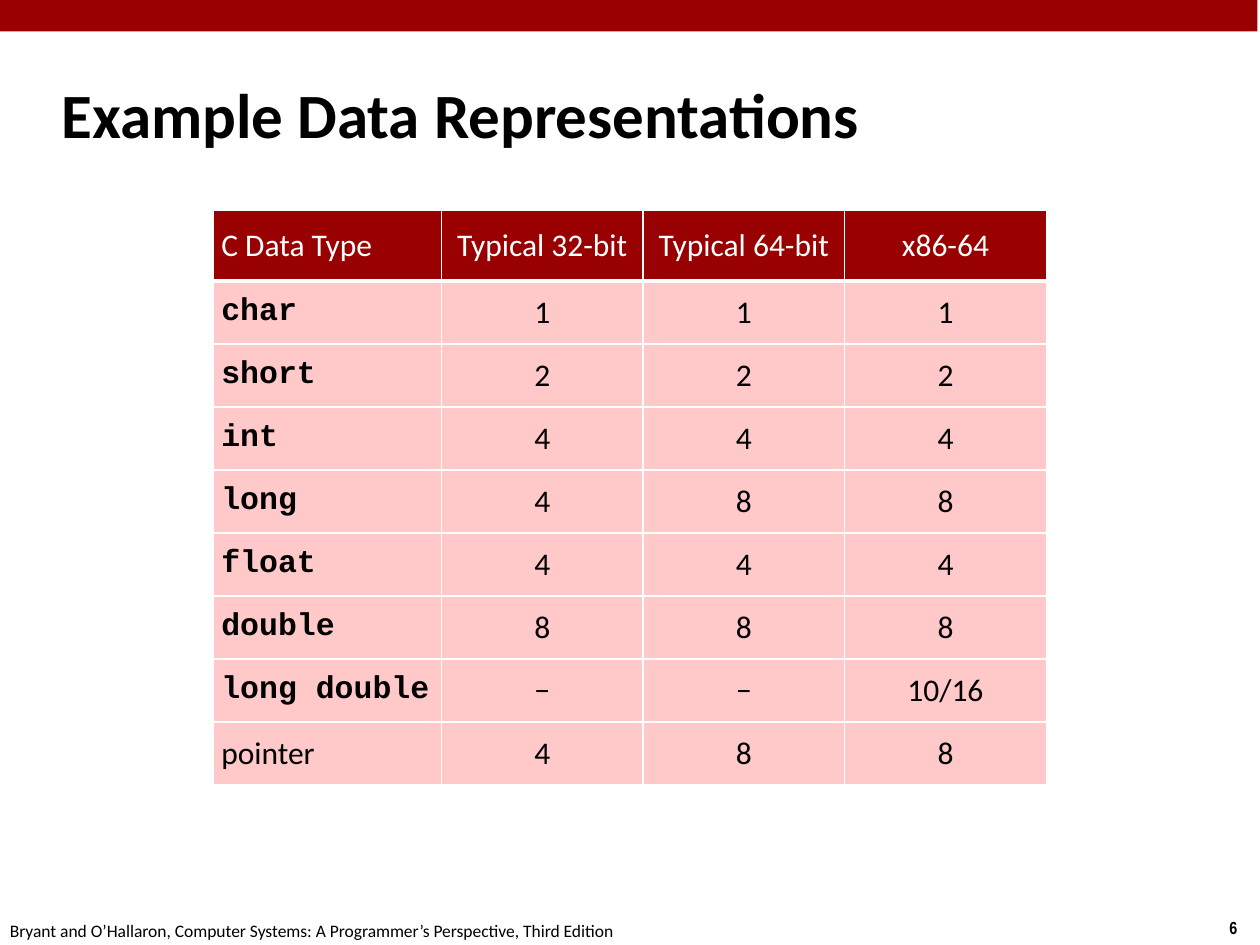
from lxml import etree
from pptx import Presentation
from pptx import util as u
from pptx.dml.color import RGBColor
from pptx.enum import shapes, text
from pptx.oxml import ns

Pt = u.Pt
BLACK = RGBColor(0, 0, 0)
WHITE = RGBColor(255, 255, 255)
BAR_RED = RGBColor(0x99, 0, 0)
HEADER_RED = RGBColor(0x98, 0, 0x02)
PINK = RGBColor(0xFF, 0xC8, 0xC9)


def write(frame, words, color, **formats):
    para = frame.paragraphs[0]
    span = para.add_run()
    span.text = words
    span.font.color.rgb = color
    for name, value in formats.items():
        setattr(span.font, name, value)
    return para


def add_border(cell, side, width):
    line = etree.SubElement(cell._tc.get_or_add_tcPr(), ns.qn(f"a:ln{side}"), w=str(Pt(width)))
    fill = etree.SubElement(line, ns.qn("a:solidFill"))
    etree.SubElement(fill, ns.qn("a:srgbClr"), val=str(WHITE))


deck = Presentation()
deck.slide_width, deck.slide_height = Pt(720), Pt(540)
page = deck.slides.add_slide(deck.slide_layouts[6])

# Top bar
bar = page.shapes.add_shape(shapes.MSO_SHAPE.RECTANGLE, Pt(-1.44), 0, Pt(720), Pt(18))
bar.shadow.inherit = False
bar.fill.solid()
bar.fill.fore_color.rgb = BAR_RED
bar.line.fill.background()

# Page number and footer
FOOTER = "Bryant and O’Hallaron, Computer Systems: A Programmer’s Perspective, Third Edition"
for words, left, top, width, formats in (
    ("6", 695.5, 520.5, 24.5, {"name": "Arial Narrow", "bold": True}),
    (FOOTER, -1.44, 522, 365.8, {"name": "Calibri"}),
):
    box = page.shapes.add_textbox(Pt(left), Pt(top), Pt(width), Pt(19.4))
    box.text_frame.word_wrap = False
    box.text_frame.auto_size = text.MSO_AUTO_SIZE.SHAPE_TO_FIT_TEXT
    write(box.text_frame, words, BLACK, size=Pt(10), **formats)

# Title
box = page.shapes.add_textbox(Pt(28), Pt(34.5), Pt(597.6), Pt(60))
box.text_frame.word_wrap = True
box.text_frame.vertical_anchor = text.MSO_ANCHOR.MIDDLE
write(box.text_frame, "Example Data Representations", BLACK,
      name="Calibri", size=Pt(36), bold=True)

# Table of type sizes in bytes
ROWS = (
    ("C Data Type", "Typical 32-bit", "Typical 64-bit", "x86-64"),
    ("char", "1", "1", "1"),
    ("short", "2", "2", "2"),
    ("int", "4", "4", "4"),
    ("long", "4", "8", "8"),
    ("float", "4", "4", "4"),
    ("double", "8", "8", "8"),
    ("long double", "−", "−", "10/16"),
    ("pointer", "4", "8", "8"),
)
widths = [130.3] + [115.2] * 3
heights = [40.3] + [36] * 8
table = page.shapes.add_table(len(ROWS), len(widths), Pt(122), Pt(120.3),
                              Pt(sum(widths)), Pt(sum(heights))).table
for column, width in zip(table.columns, widths):
    column.width = Pt(width)
for row, height in zip(table.rows, heights):
    row.height = Pt(height)

for r, values in enumerate(ROWS):
    for c, words in enumerate(values):
        cell = table.cell(r, c)
        for side in ("left", "right", "top", "bottom"):
            setattr(cell, f"margin_{side}", Pt(4.5))
        cell.vertical_anchor = text.MSO_ANCHOR.MIDDLE
        # The rule under the header is thicker
        for side, width in (("L", 1), ("R", 1), ("T", 3 if r == 1 else 1), ("B", 3 if r == 0 else 1)):
            add_border(cell, side, width)
        cell.fill.solid()
        cell.fill.fore_color.rgb = PINK if r else HEADER_RED
        # C keywords are set as code
        is_code = c == 0 and r > 0 and words != "pointer"
        para = write(cell.text_frame, words, BLACK if r else WHITE, size=Pt(18),
                     name="Courier New" if is_code else "Calibri", bold=is_code)
        para.alignment = text.PP_ALIGN.CENTER if c else text.PP_ALIGN.LEFT

deck.save("out.pptx")
